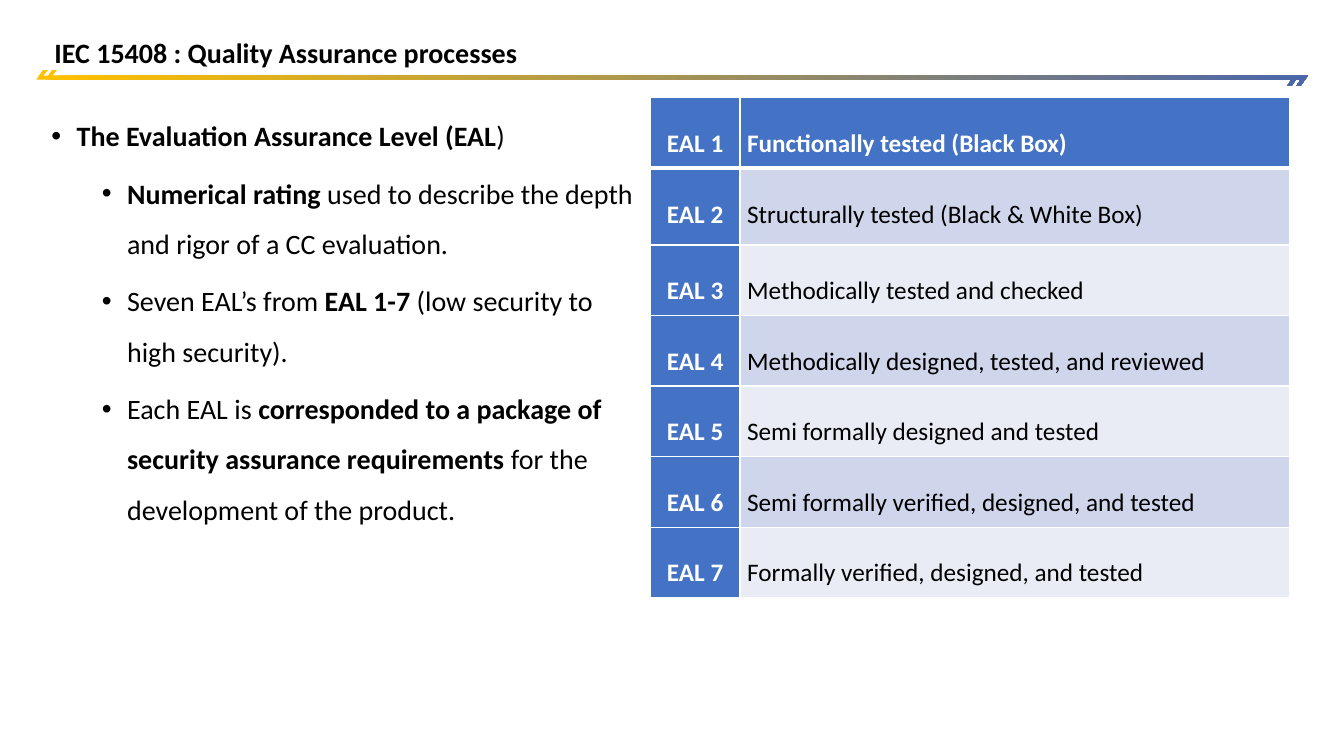
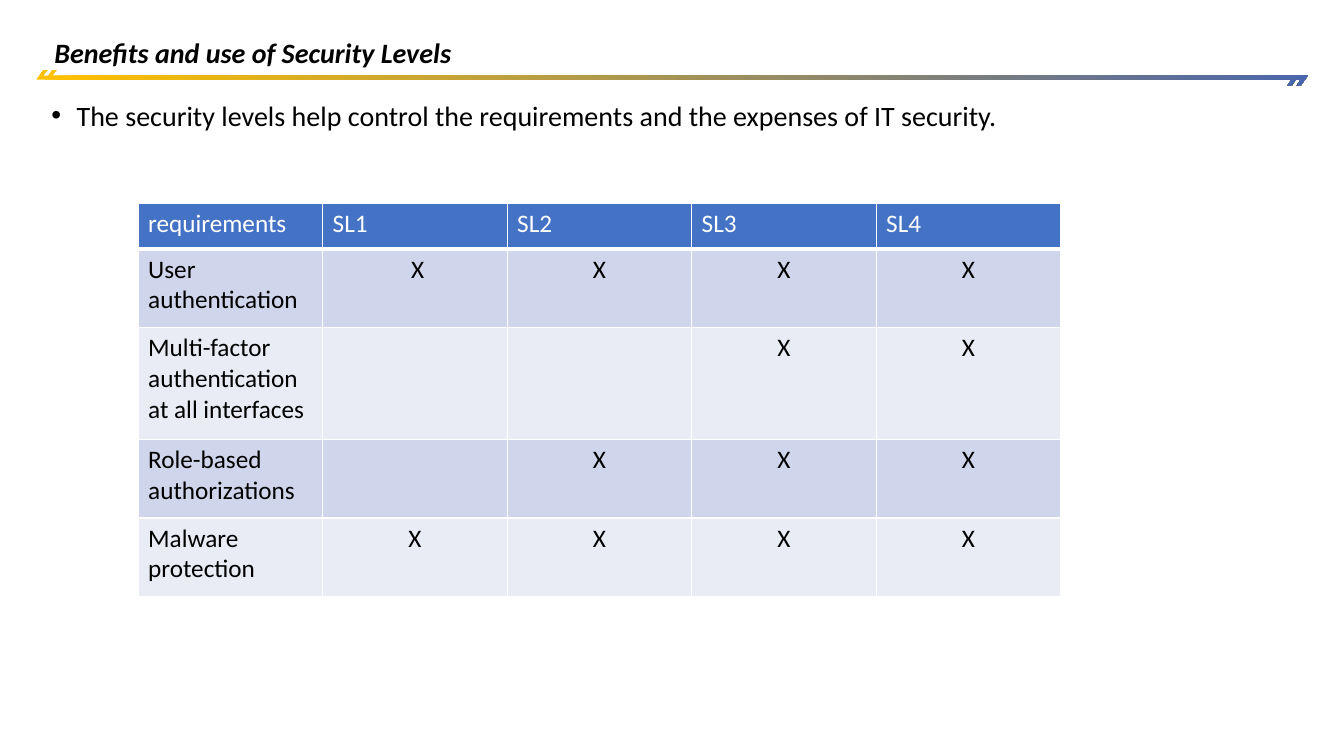
import pptx
import pptx.dml.color
import pptx.enum.text
import pptx.oxml
import pptx.oxml.ns
import pptx.util

Inches = pptx.util.Inches
Pt = pptx.util.Pt
ALIGN = pptx.enum.text.PP_ALIGN
ANCHOR = pptx.enum.text.MSO_ANCHOR

FONT = "Calibri"
COLORS = {
    "ink": "000000",
    "white": "FFFFFF",
    "head": "4472C4",
    "odd": "CFD5EA",
    "even": "E9EBF5",
    "gold": "FFC000",
    "navy": "4A66AC",
}
RULE = [(0.43, 0.69), (0.48, 0.69), (0.43, 0.75), (12.88, 0.75),
        (12.81, 0.85), (12.77, 0.85), (12.81, 0.79), (0.36, 0.79)]


def rgb(name):
    return pptx.dml.color.RGBColor.from_string(COLORS[name])


def node(xml):
    """Parse an XML snippet whose root takes the a: namespace at {ns}."""
    return pptx.oxml.parse_xml(xml.format(ns=pptx.oxml.ns.nsdecls("a")))


def write(par, text, size=20, color="ink", bold=False, italic=False,
          align=ALIGN.LEFT, lines=1.0, before=0):
    """Fill a paragraph; parts between asterisks become bold."""
    par.alignment = align
    par.line_spacing = lines
    par.space_before = Pt(before)
    for i, part in enumerate(text.split("*")):
        if part:
            run = par.add_run()
            run.text = part
            font = run.font
            font.name, font.size = FONT, Pt(size)
            font.bold = bold or i % 2 == 1
            font.italic = italic
            font.color.rgb = rgb(color)


def inset(frame, x, y):
    """Set equal side and equal top and bottom margins."""
    frame.margin_left = frame.margin_right = Inches(x)
    frame.margin_top = frame.margin_bottom = Inches(y)


def edge(cell, **widths):
    """Draw white cell borders; widths in points by side L, R, T, B."""
    props = cell._tc.get_or_add_tcPr()
    for side in "LRTB":
        line = node('<a:ln%s {ns} w="%d"><a:solidFill><a:srgbClr val="%s"/>'
                    '</a:solidFill></a:ln%s>'
                    % (side, Pt(widths.get(side, 1)), COLORS["white"], side))
        props.append(line)


class Deck:
    def __init__(self):
        self.file = pptx.Presentation()
        self.file.slide_width = Inches(13.33)
        self.file.slide_height = Inches(7.5)
        self.slide = None

    def start(self, title, italic=False):
        """Add a slide with its title and the ruled line below it."""
        self.slide = self.file.slides.add_slide(self.file.slide_layouts[5])
        for shift in (0, 0.09):
            self.rule(shift)
        box = self.slide.shapes.title
        box.left, box.top = Inches(0.44), Inches(0)
        box.width, box.height = Inches(12.44), Inches(0.74)
        frame = box.text_frame
        frame.auto_size = pptx.enum.text.MSO_AUTO_SIZE.NONE
        frame.vertical_anchor = ANCHOR.BOTTOM
        inset(frame, 0.1, 0.05)
        write(frame.paragraphs[0], title, bold=True, italic=italic, lines=0.9)

    def rule(self, shift):
        dots = [(Inches(x + shift), Inches(y)) for x, y in RULE]
        form = self.slide.shapes.build_freeform(*dots[0])
        form.add_line_segments(dots[1:], close=True)
        shape = form.convert_to_shape()
        shape.shadow.inherit = False
        shape.line.fill.background()
        shape.fill.gradient()
        shape.fill.gradient_angle = 0
        for stop, name in zip(shape.fill.gradient_stops, ("gold", "navy")):
            stop.color.rgb = rgb(name)

    def list(self, width, height, items, lines):
        """Add a bulleted text box; items are (level, text) pairs."""
        box = self.slide.shapes.add_textbox(
            Inches(0.44), Inches(0.97), Inches(width), Inches(height))
        frame = box.text_frame
        frame.word_wrap = True
        inset(frame, 0.07, 0.04)
        for i, (level, text) in enumerate(items):
            par = frame.add_paragraph() if i else frame.paragraphs[0]
            par.level = level
            write(par, text, lines=lines, before=5 if level else 10)
            props = par._p.get_or_add_pPr()
            props.set("marL", str(Inches(0.25 + 0.5 * level)))
            props.set("indent", str(Inches(-0.25)))
            props.append(node('<a:buFont {ns} typeface="Arial"/>'))
            props.append(node('<a:buChar {ns} char="•"/>'))

    def table(self, left, top, cols, rows, data, lead=False,
              pad=(0.1, 0.05), lines=1.0):
        """Add a banded table; lead marks a bold heading column."""
        grid = self.slide.shapes.add_table(
            len(rows), len(cols), Inches(left), Inches(top),
            Inches(sum(cols)), Inches(sum(rows))).table
        grid.first_col = lead
        grid.horz_banding = False
        for col, width in zip(grid.columns, cols):
            col.width = Inches(width)
        for r, (row, height) in enumerate(zip(grid.rows, rows)):
            row.height = Inches(height)
            for c, cell in enumerate(row.cells):
                head = r == 0 or (lead and c == 0)
                mid = c == 0 if lead else r > 0 and c > 0
                edge(cell, B=3 if r == 0 else 1, T=3 if r == 1 else 1)
                cell.fill.solid()
                band = "odd" if r % 2 else "even"
                cell.fill.fore_color.rgb = rgb("head" if head else band)
                inset(cell, *pad)
                write(cell.text_frame.paragraphs[0], data[r][c], size=18,
                      color="white" if head else "ink", bold=lead and head,
                      align=ALIGN.CENTER if mid else ALIGN.LEFT, lines=lines)


def main():
    deck = Deck()

    deck.start("IEC 15408 : Quality Assurance processes")
    deck.list(5.92, 6.11, [
        (0, "*The Evaluation Assurance Level (EAL*)"),
        (1, "*Numerical rating* used to describe the depth and rigor "
            "of a CC evaluation."),
        (1, "Seven EAL’s from *EAL 1-7* (low security to high security)."),
        (1, "Each EAL is *corresponded to a package of security assurance "
            "requirements *for the development of the product."),
    ], lines=1.5)
    tests = [
        "Functionally tested (Black Box)",
        "Structurally tested (Black & White Box)",
        "Methodically tested and checked",
        "Methodically designed, tested, and reviewed",
        "Semi formally designed and tested",
        "Semi formally verified, designed, and tested",
        "Formally verified, designed, and tested",
    ]
    deck.table(6.45, 0.97, [0.89, 5.45], [0.7, 0.76] + [0.7] * 5,
               [(f"EAL {i}", test) for i, test in enumerate(tests, 1)],
               lead=True, pad=(0.07, 0), lines=2.0)

    deck.start("Benefits and use of Security Levels", italic=True)
    deck.list(12.44, 1.66, [
        (0, "The security levels help control the requirements and the "
            "expenses of IT security."),
    ], lines=0.9)
    deck.table(1.37, 2.02, [1.83] * 5, [0.45, 0.78, 1.11, 0.78, 0.78], [
        ("requirements", "SL1", "SL2", "SL3", "SL4"),
        ("User authentication", " X", "X", "X", "X"),
        ("Multi-factor authentication at all interfaces", "", "", "X", "X"),
        ("Role-based authorizations", "", "X", "X", "X"),
        ("Malware protection", "X", "X", "X", "X"),
    ])

    deck.file.save("out.pptx")


if __name__ == "__main__":
    main()
